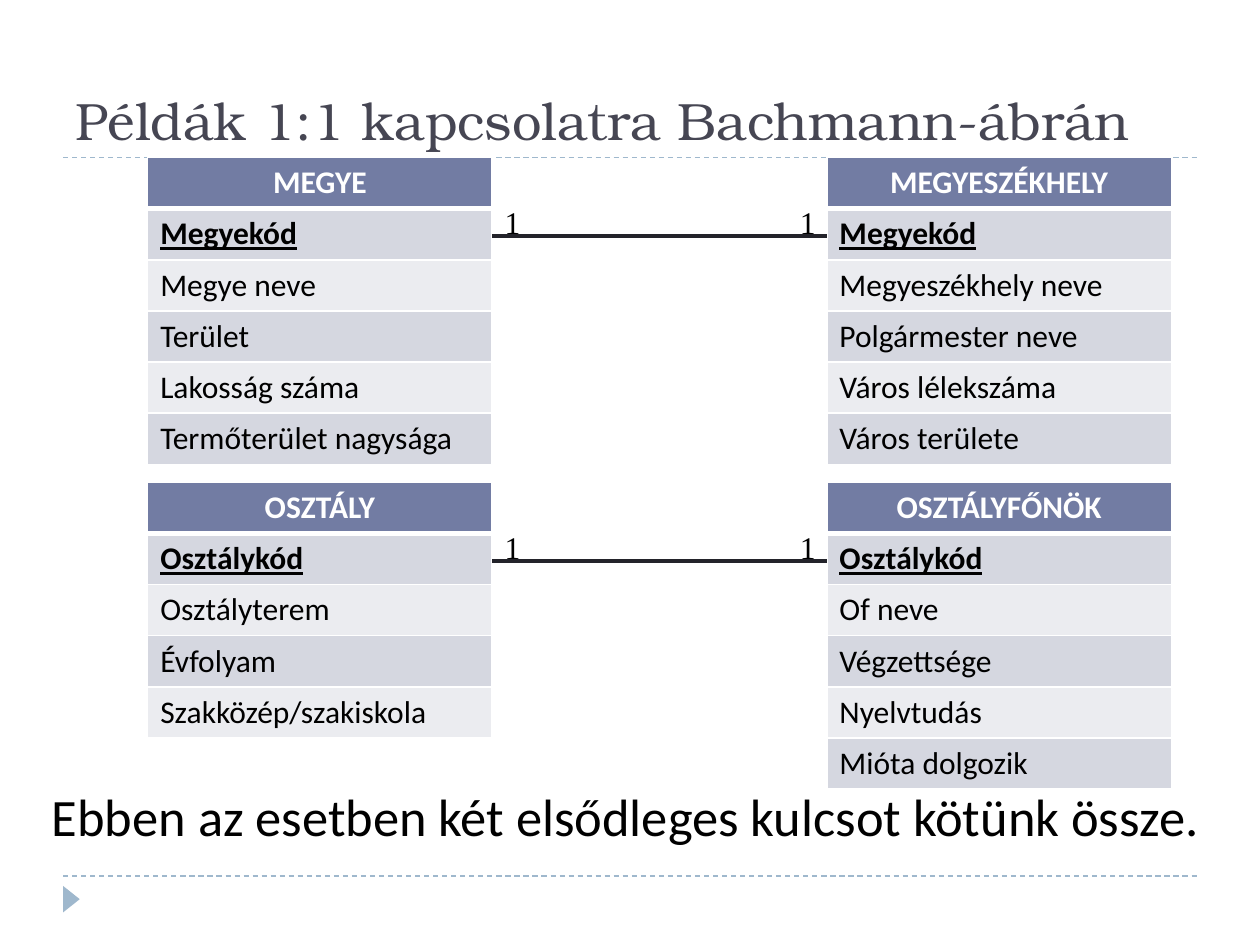
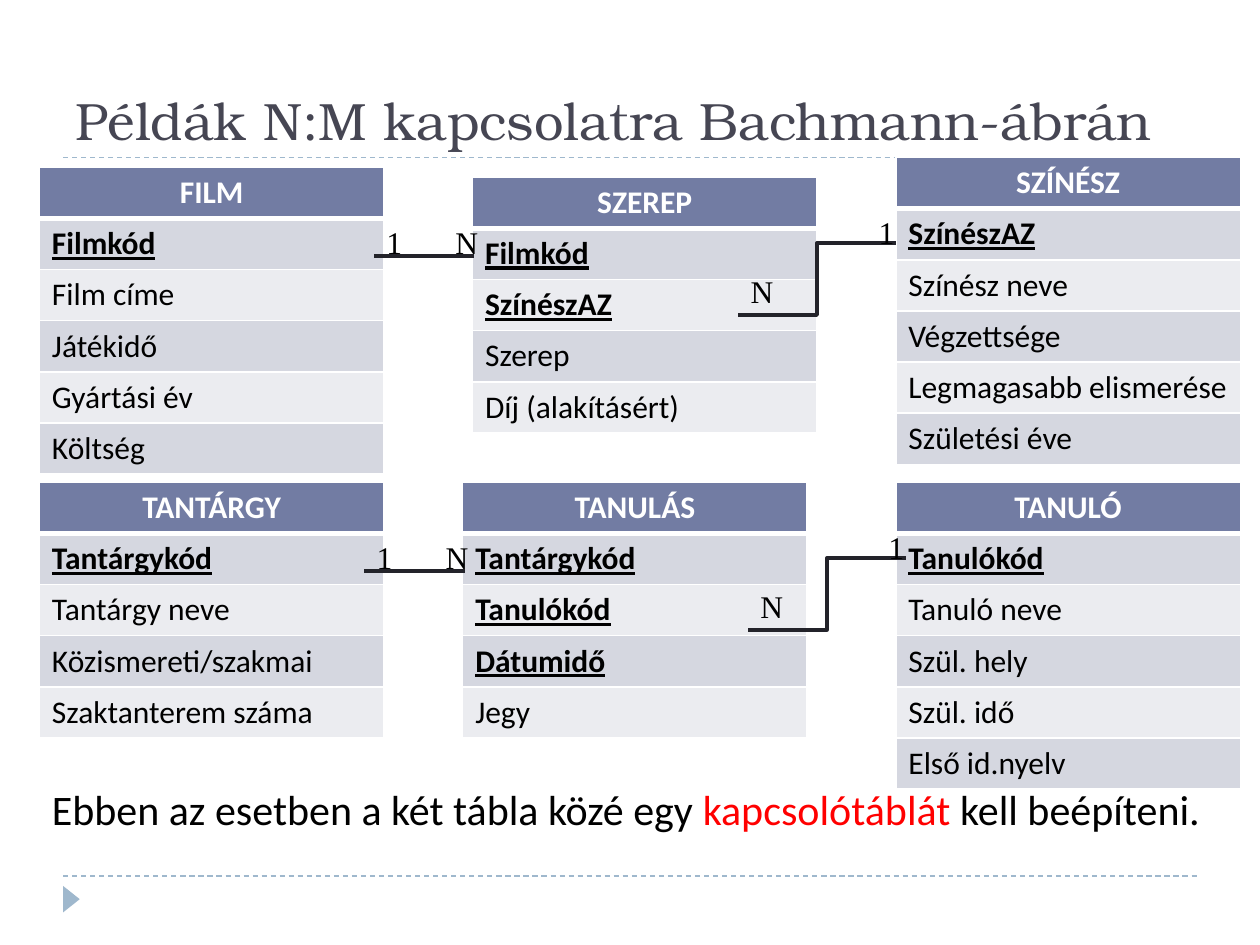
from lxml.etree import SubElement
from pptx import Presentation
from pptx.dml.color import RGBColor
from pptx.enum.dml import MSO_LINE
from pptx.enum.shapes import MSO_CONNECTOR, MSO_SHAPE
from pptx.enum.text import MSO_ANCHOR, PP_ALIGN
from pptx.oxml.ns import qn
from pptx.util import Inches, Pt

COLS, ROWS = 128, 96
COLORS = {
    "title": "464653", "text": "000000", "accent": "FF0000", "white": "FFFFFF",
    "header": "727CA3", "odd": "D5D7E0", "even": "EBECF0",
    "rule": "9FB8CD", "link": "23232A",
}
BODY, HEADING, LABEL = "Calibri", "TeX Gyre Bonum", "Times New Roman"
TABLE_W, ROW_H = 35, 5.2


class Deck:
    """Holds the deck's style and draws elements on the current slide's grid."""

    def __init__(self):
        self.prs = Presentation()
        self.prs.slide_width, self.prs.slide_height = Inches(10), Inches(7.5)
        self.s = None

    def grid(self, x, y):
        return (round(x * self.prs.slide_width / COLS),
                round(y * self.prs.slide_height / ROWS))

    def color(self, name):
        return RGBColor.from_string(COLORS[name])

    def font(self, p, size, name, color="text"):
        p.font.size, p.font.name = Pt(size), name
        p.font.color.rgb = self.color(color)

    def slide(self, title):
        self.s = self.prs.slides.add_slide(self.prs.slide_layouts[6])
        for y in (89, 16):
            self.line(6.4, y, 121.6, y, "rule", 0.75).line.dash_style = MSO_LINE.DASH
        self.marker()
        self.text(6.4, 3.2, 117.6, 12.8, [(title, "title")], 30, HEADING, MSO_ANCHOR.BOTTOM)

    def marker(self):
        sp = self.s.shapes.add_shape(
            MSO_SHAPE.ISOSCELES_TRIANGLE, *self.grid(5.9, 90.5), *self.grid(2.7, 1.7))
        sp.rotation = 90
        sp.shadow.inherit = False
        sp.fill.solid()
        sp.fill.fore_color.rgb = self.color("rule")
        sp.line.fill.background()

    def line(self, x1, y1, x2, y2, color="link", width=2, kind=MSO_CONNECTOR.STRAIGHT):
        cx = self.s.shapes.add_connector(kind, *self.grid(x1, y1), *self.grid(x2, y2))
        cx.line.color.rgb = self.color(color)
        cx.line.width = Pt(width)
        SubElement(cx._element.spPr, qn("a:effectLst"))
        return cx

    def text(self, x, y, w, h, runs, size, font=BODY, anchor=MSO_ANCHOR.TOP, before=0):
        tf = self.s.shapes.add_textbox(*self.grid(x, y), *self.grid(w, h)).text_frame
        tf.word_wrap = True
        tf.vertical_anchor = anchor
        p = tf.paragraphs[0]
        p.space_before = Pt(before)
        self.font(p, size, font, runs[0][1])
        for words, color in runs:
            r = p.add_run()
            r.text = words
            if color != runs[0][1]:
                r.font.color.rgb = self.color(color)

    def label(self, x, y, w, words):
        self.text(x, y, w, 5.1, [(words, "text")], 18, LABEL)

    def note(self, *runs, size):
        self.text(4, 79, 121, 10, runs, size, before=6)

    def borders(self, cell, top, bottom):
        tcPr = cell._tc.get_or_add_tcPr()
        for side, width in (("L", 1), ("R", 1), ("T", top), ("B", bottom)):
            ln = SubElement(tcPr, qn(f"a:ln{side}"), w=str(Pt(width)))
            fill = SubElement(ln, qn("a:solidFill"))
            SubElement(fill, qn("a:srgbClr"), val=COLORS["white"])

    def entity(self, x, y, name, *fields, keys=1):
        n = len(fields) + 1
        table = self.s.shapes.add_table(
            n, 1, *self.grid(x, y), *self.grid(TABLE_W, n * ROW_H)).table
        for i, words in enumerate((name, *fields)):
            table.rows[i].height = self.grid(0, ROW_H)[1]
            cell = table.cell(i, 0)
            self.borders(cell, 3 if i == 1 else 1, 3 if i == 0 else 1)
            cell.fill.solid()
            cell.fill.fore_color.rgb = self.color(
                "header" if i == 0 else "odd" if i % 2 else "even")
            cell.text = words
            p = cell.text_frame.paragraphs[0]
            self.font(p, 18, BODY, "text" if i else "white")
            p.font.bold = i <= keys
            p.font.underline = 1 <= i <= keys
            if i == 0:
                p.alignment = PP_ALIGN.CENTER

    def straight_link(self, x1, x2, y, left, right, label_w):
        self.line(x1, y, x2, y)
        self.label(x1, y - 4, label_w, left)
        self.label(x2 - label_w, y - 4, label_w, right)

    def bent_link(self, x, y, left, right):
        self.line(x + 16, y, x, y + 7.3, kind=MSO_CONNECTOR.ELBOW)
        self.label(x + 13, y - 3.7, 3, right)
        self.label(x, y + 2.3, 5, left)


def one_to_one(deck):
    deck.slide("Példák 1:1 kapcsolatra Bachmann-ábrán")
    deck.entity(15, 16, "MEGYE", "Megyekód", "Megye neve", "Terület",
                "Lakosság száma", "Termőterület nagysága")
    deck.entity(84, 16, "MEGYESZÉKHELY", "Megyekód", "Megyeszékhely neve",
                "Polgármester neve", "Város lélekszáma", "Város területe")
    deck.entity(15, 49, "OSZTÁLY", "Osztálykód", "Osztályterem", "Évfolyam",
                "Szakközép/szakiskola")
    deck.entity(84, 49, "OSZTÁLYFŐNÖK", "Osztálykód", "Of neve", "Végzettsége",
                "Nyelvtudás", "Mióta dolgozik")
    for y in (24, 57):
        deck.straight_link(50, 84, y, "1", "1", 4)
    deck.note(("Ebben az esetben két elsődleges kulcsot kötünk össze.", "text"), size=30)


def many_to_many(deck):
    deck.slide("Példák N:M kapcsolatra Bachmann-ábrán")
    deck.entity(4, 17, "FILM", "Filmkód", "Film címe", "Játékidő", "Gyártási év", "Költség")
    deck.entity(91, 16, "SZÍNÉSZ", "SzínészAZ", "Színész neve", "Végzettsége",
                "Legmagasabb elismerése", "Születési éve")
    deck.entity(48, 18, "SZEREP", "Filmkód", "SzínészAZ", "Szerep",
                "Díj (alakításért)", keys=2)
    deck.entity(4, 49, "TANTÁRGY", "Tantárgykód", "Tantárgy neve",
                "Közismereti/szakmai", "Szaktanterem száma")
    deck.entity(91, 49, "TANULÓ", "Tanulókód", "Tanuló neve", "Szül. hely",
                "Szül. idő", "Első id.nyelv")
    deck.entity(47, 49, "TANULÁS", "Tantárgykód", "Tanulókód", "Dátumidő", "Jegy", keys=3)
    for x, y in ((38, 26), (37, 58)):
        deck.straight_link(x, x + 10.2, y, "1", "N", 3.2)
    for x, y in ((75, 24.7), (76, 56.7)):
        deck.bent_link(x, y, "N", "1")
    deck.note(("Ebben az esetben a két tábla közé egy ", "text"),
              ("kapcsolótáblát", "accent"), (" kell beépíteni.", "text"), size=24)


def main():
    deck = Deck()
    one_to_one(deck)
    many_to_many(deck)
    deck.prs.save("out.pptx")


if __name__ == "__main__":
    main()
